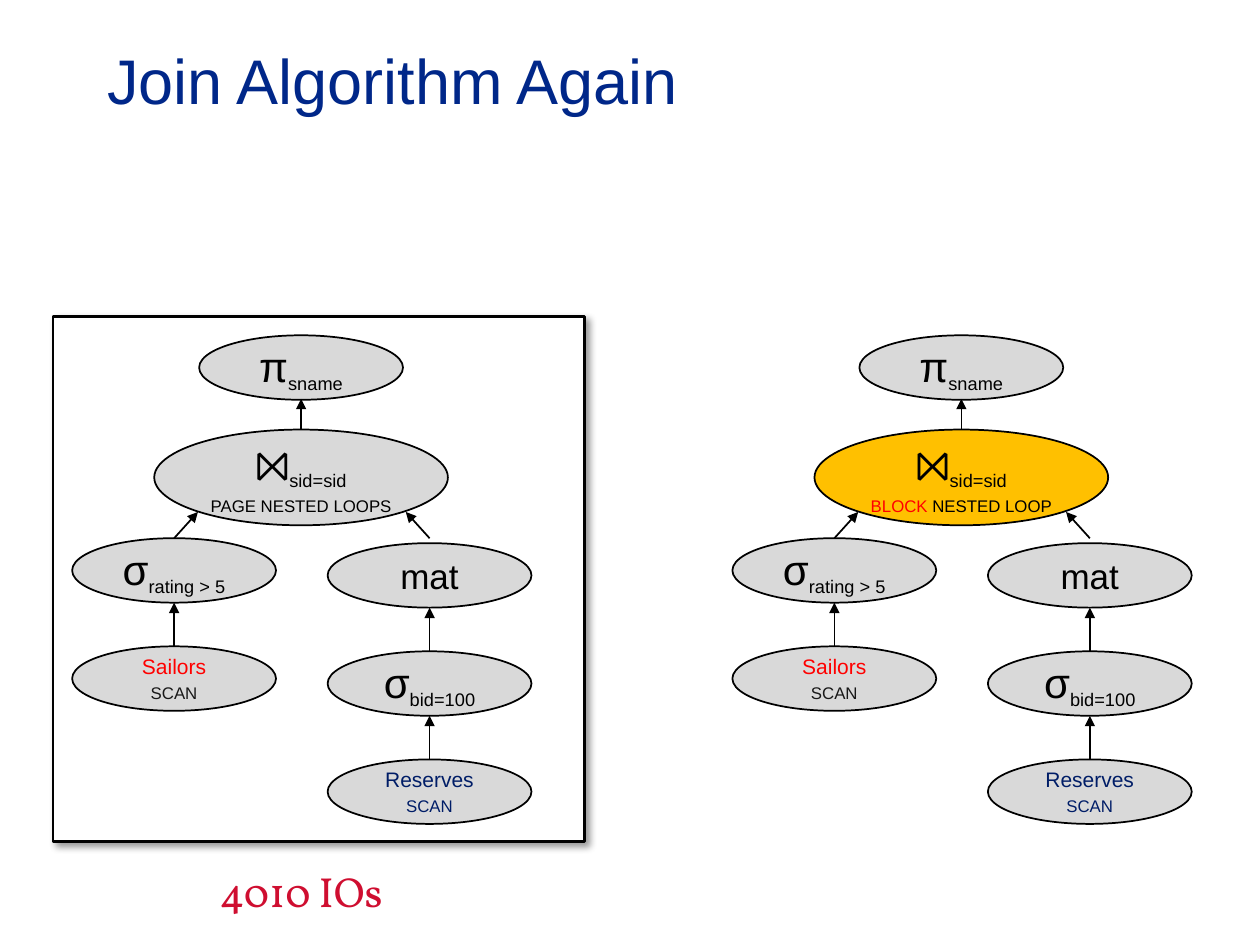
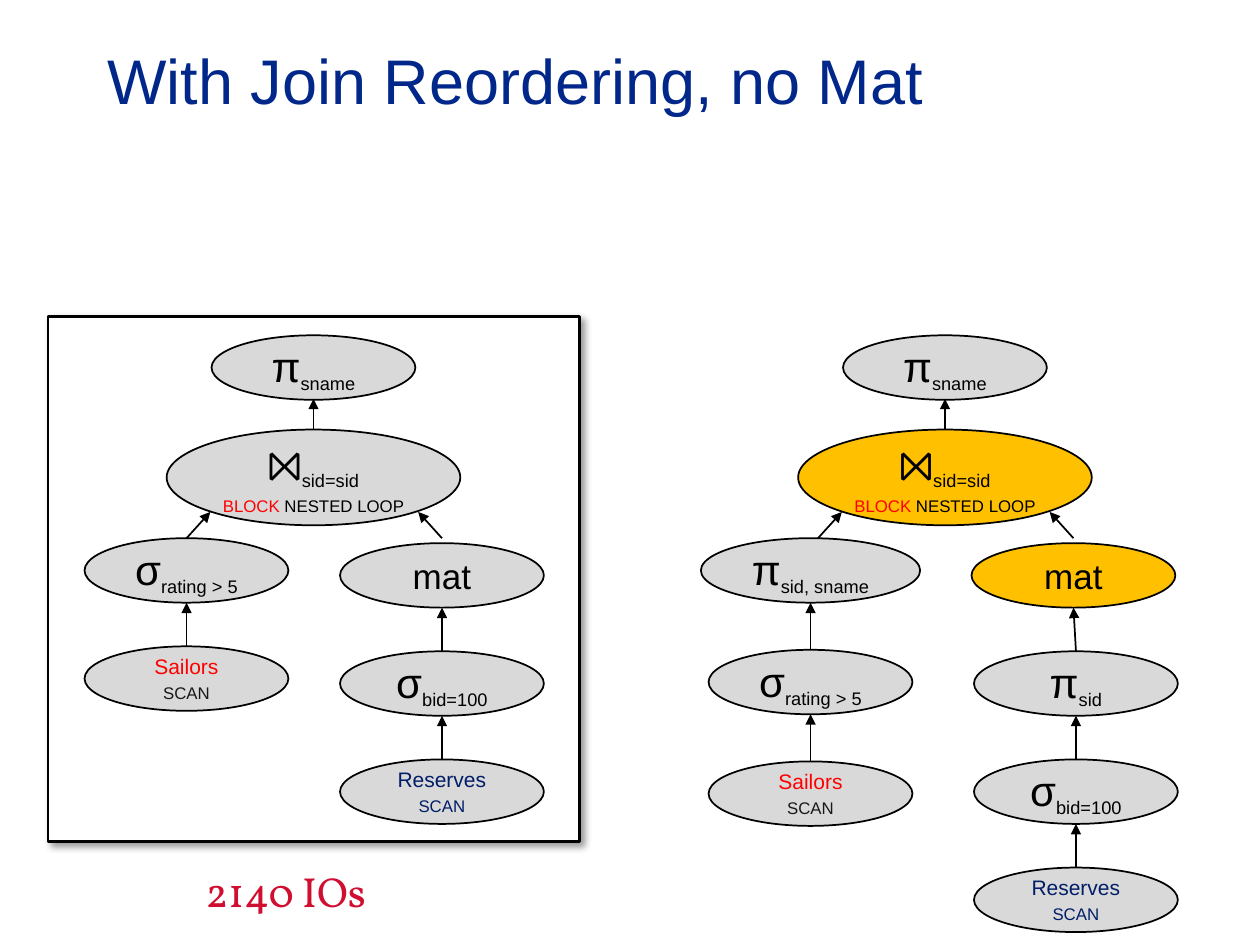
"""Two slides that compare query plans drawn as operator trees."""
from dataclasses import dataclass, replace

from pptx import Presentation, util as u
from pptx.dml.color import RGBColor
from pptx.enum import shapes, text
from pptx.oxml import parse_xml
from pptx.oxml.ns import nsdecls


@dataclass(frozen=True)
class Style:
    """Look of one run of text."""
    size: int
    color: str = "000000"
    font: str = "Arial"
    baseline: int = 0
    small_caps: bool = False


class Theme:
    """Colours, line widths and text styles shared by the slides."""
    paper, ink = "FFFFFF", "000000"
    plain, changed = "D9D9D9", "FFC000"
    node_line, frame_line = 1, 1.5
    title = Style(36, "002789")
    cost = Style(24, "CF0E30", "Vollkorn")
    symbol = Style(24)
    subscript = Style(18, baseline=-25000)
    mat = Style(20)
    method = Style(12, small_caps=True)
    emphasis = replace(method, color="FF0000")
    sailors = Style(12, "FF0000")
    sailors_scan = replace(method, color="181818")
    reserves = Style(12, "001D67")
    reserves_scan = replace(reserves, small_caps=True)


# Tree geometry in centimetres, measured from the tree's top left corner.
NODE_WIDTH, NODE_HEIGHT = 4.11, 1.3
JOIN_WIDTH, JOIN_HEIGHT, JOIN_TOP = 5.92, 1.93, 1.9
ROOT_CENTER, LEFT_CENTER, RIGHT_CENTER = 4.62, 2.06, 7.21
LEFT_TOP, RIGHT_TOP, STEP = 4.09, 4.19, 2.18
JOIN_ARROWS = [((LEFT_CENTER, LEFT_TOP), (2.54, 3.56)),
               ((RIGHT_CENTER, LEFT_TOP), (6.73, 3.56)),
               ((ROOT_CENTER, 1.88), (ROOT_CENTER, 1.28))]
TREE_TOP = 6.76


@dataclass(frozen=True)
class Node:
    """Operator of a plan: paragraphs of (text, style) runs in an ellipse."""
    label: list
    fill: str = Theme.plain
    width: float = NODE_WIDTH
    shift: float = 0


def operator(symbol, argument, **look):
    """Return a node with a Greek symbol and a subscript."""
    return Node([[(symbol, Theme.symbol), (argument, Theme.subscript)]], **look)


def join(method, fill=Theme.plain):
    """Return the join node with its method on a second line."""
    label = [("⨝", Theme.symbol), ("sid=sid\n", Theme.subscript), *method]
    return Node([label], fill, JOIN_WIDTH)


PAGE_LOOPS = [("page nested loops", Theme.method)]
BLOCK_LOOP = [("block", Theme.emphasis), (" nested loop", Theme.method)]
PROJECT_NAME = operator("π", "sname")
RATING = operator("σ", "rating > 5")
BOAT = operator("σ", "bid=100")
MAT = Node([[("mat", Theme.mat)]])
SAILORS = Node([[("Sailors", Theme.sailors)], [("scan", Theme.sailors_scan)]])
RESERVES = Node([[("Reserves", Theme.reserves)], [("scan", Theme.reserves_scan)]])


def add_run(paragraph, words, style):
    """Add one run; a closing newline becomes a line break."""
    run = paragraph.add_run()
    run.text = words.rstrip("\n")
    run.font.name, run.font.size = style.font, u.Pt(style.size)
    run.font.color.rgb = RGBColor.from_string(style.color)
    properties = run._r.get_or_add_rPr()
    if style.baseline:
        properties.set("baseline", str(style.baseline))
    if style.small_caps:
        properties.set("cap", "small")
    if words.endswith("\n"):
        paragraph.add_line_break()


def write(frame, paragraphs, align=text.PP_ALIGN.CENTER):
    """Fill a text frame with paragraphs of runs, anchored in the middle."""
    frame.vertical_anchor = text.MSO_ANCHOR.MIDDLE
    for index, runs in enumerate(paragraphs):
        paragraph = frame.add_paragraph() if index else frame.paragraphs[0]
        paragraph.alignment = align
        for words, style in runs:
            add_run(paragraph, words, style)


def add_box(slide, kind, box, fill, line_width):
    """Add a filled, outlined preset shape at a box given in centimetres."""
    shape = slide.shapes.add_shape(kind, *map(u.Cm, box))
    shape.shadow.inherit = False
    shape.fill.solid()
    shape.fill.fore_color.rgb = RGBColor.from_string(fill)
    shape.line.color.rgb = RGBColor.from_string(Theme.ink)
    shape.line.width = u.Pt(line_width)
    return shape


def add_node(slide, node, center, top, height=NODE_HEIGHT):
    """Add an operator ellipse around a horizontal centre."""
    box = (center - node.width / 2, top, node.width, height)
    shape = add_box(slide, shapes.MSO_SHAPE.OVAL, box, node.fill, Theme.node_line)
    frame = shape.text_frame
    frame.word_wrap = True
    frame.margin_left = frame.margin_right = 0
    write(frame, node.label)


def add_arrow(slide, start, end):
    """Add a straight arrow whose head is at the end point."""
    connector = slide.shapes.add_connector(
        shapes.MSO_CONNECTOR.STRAIGHT, *map(u.Cm, (*start, *end)))
    connector.line.color.rgb = RGBColor.from_string(Theme.ink)
    connector.line.width = u.Pt(Theme.node_line)
    connector.line._get_or_add_ln().append(
        parse_xml(f'<a:tailEnd {nsdecls("a")} type="triangle"/>'))
    connector._element.spPr.append(parse_xml(f'<a:effectLst {nsdecls("a")}/>'))


def add_branch(slide, nodes, center, top, step):
    """Add a column of nodes, each feeding the one above it."""
    for index, node in enumerate(nodes):
        y = top + index * step
        add_node(slide, node, center + node.shift, y)
        if index:
            above = center + nodes[index - 1].shift
            add_arrow(slide, (center + node.shift, y),
                      (above, y - step + NODE_HEIGHT))


def add_tree(slide, left, join_node, left_branch, right_branch, left_step=STEP):
    """Add a plan: projection, join and two input branches."""
    add_node(slide, PROJECT_NAME, left + ROOT_CENTER, TREE_TOP)
    add_node(slide, join_node, left + ROOT_CENTER, TREE_TOP + JOIN_TOP, JOIN_HEIGHT)
    add_branch(slide, left_branch, left + LEFT_CENTER, TREE_TOP + LEFT_TOP, left_step)
    add_branch(slide, right_branch, left + RIGHT_CENTER, TREE_TOP + RIGHT_TOP, STEP)
    for start, end in JOIN_ARROWS:
        add_arrow(slide, *((left + x, TREE_TOP + y) for x, y in (start, end)))


def add_frame(slide, left):
    """Add the shadowed frame that marks the best plan so far."""
    shape = add_box(slide, shapes.MSO_SHAPE.RECTANGLE, (left, 6.38, 10.72, 10.59),
                    Theme.paper, Theme.frame_line)
    effects = shape._element.spPr.find(
        "{http://schemas.openxmlformats.org/drawingml/2006/main}effectLst")
    effects.append(parse_xml(
        f'<a:outerShdw {nsdecls("a")} blurRad="{u.Pt(4)}" dist="{u.Pt(3)}" '
        f'dir="2700000" algn="tl" rotWithShape="0"><a:srgbClr val="{Theme.ink}">'
        '<a:alpha val="40000"/></a:srgbClr></a:outerShdw>'))


def add_cost(slide, words, left):
    """Add the cost of the framed plan."""
    box = slide.shapes.add_textbox(*map(u.Cm, (left, 17.32, 5.28, 1.27)))
    box.text_frame.word_wrap = False
    write(box.text_frame, [[(words, Theme.cost)]])


def add_plan_slide(presentation, title, cost, frame_left, cost_left):
    """Add a slide with its title, the frame and the cost below it."""
    slide = presentation.slides.add_slide(presentation.slide_layouts[5])
    shape = slide.shapes.title
    shape.left, shape.top, shape.width, shape.height = map(
        u.Cm, (1.91, 0, 21.59, 3.18))
    shape.text_frame.auto_size = text.MSO_AUTO_SIZE.NONE
    write(shape.text_frame, [[(title, Theme.title)]], text.PP_ALIGN.LEFT)
    add_frame(slide, frame_left)
    add_cost(slide, cost, cost_left)
    return slide


def main():
    """Build and save the presentation."""
    presentation = Presentation()
    presentation.slide_width, presentation.slide_height = u.Cm(25.4), u.Cm(19.05)
    scan_sailors, scan_reserves = [RATING, SAILORS], [MAT, BOAT, RESERVES]
    block_join = join(BLOCK_LOOP, Theme.changed)

    slide = add_plan_slide(presentation, "Join Algorithm Again", "4010 IOs", 1.07, 3.43)
    add_tree(slide, 1.45, join(PAGE_LOOPS), scan_sailors, scan_reserves)
    add_tree(slide, 14.76, block_join, scan_sailors, scan_reserves)

    slide = add_plan_slide(presentation, "With Join Reordering, no Mat", "2140 IOs",
                           0.97, 3.12)
    add_tree(slide, 1.7, join(BLOCK_LOOP), scan_sailors, scan_reserves)
    project_sailors = operator("π", "sid, sname", width=4.42)
    left_branch = [replace(node, shift=-0.15)
                   for node in (project_sailors, *scan_sailors)]
    lower_right = [replace(node, shift=0.05)
                   for node in (operator("π", "sid"), BOAT, RESERVES)]
    right_branch = [replace(MAT, fill=Theme.changed), *lower_right]
    add_tree(slide, 14.43, block_join, left_branch, right_branch, left_step=2.25)

    presentation.save("out.pptx")


main()
